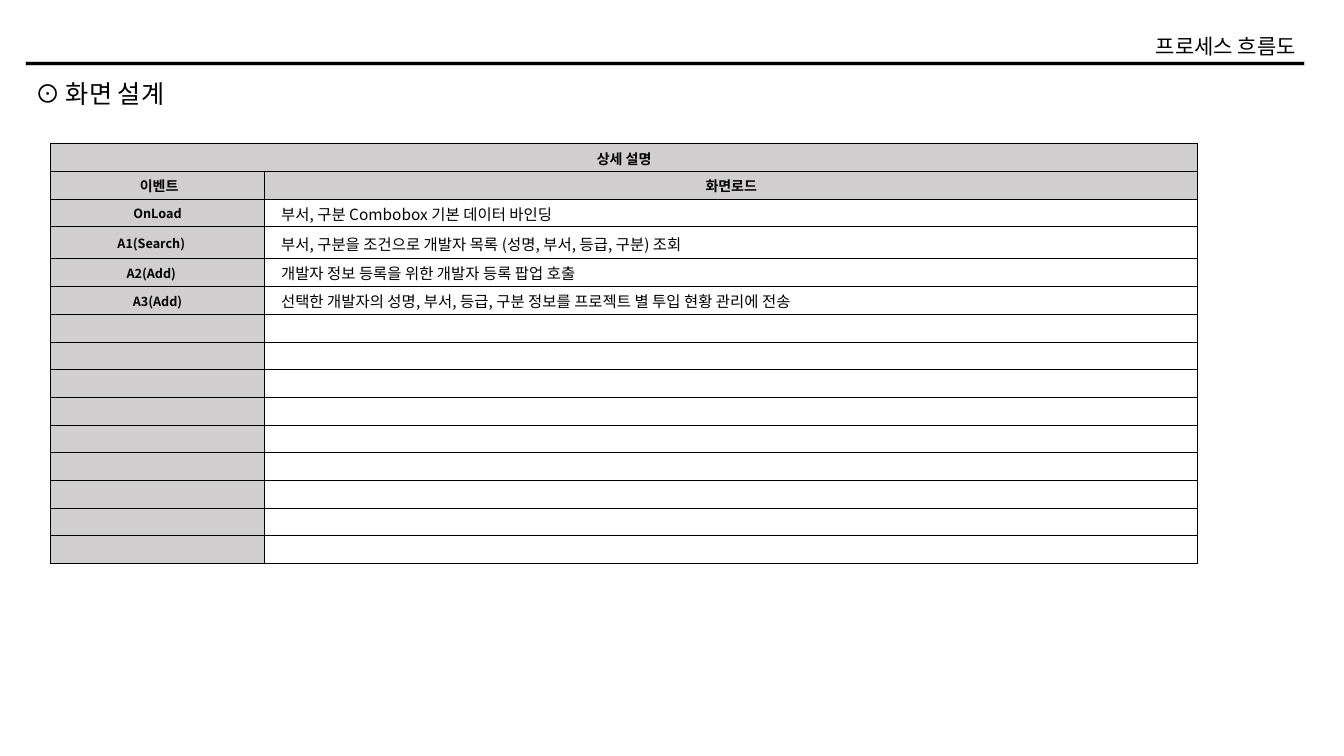
from lxml import etree
from pptx import Presentation
from pptx.dml.color import RGBColor
from pptx.enum.shapes import MSO_SHAPE
from pptx.enum.text import MSO_ANCHOR, MSO_AUTO_SIZE, PP_ALIGN
from pptx.oxml import parse_xml
from pptx.oxml.ns import qn
from pptx.util import Inches, Pt

RECT = MSO_SHAPE.RECTANGLE
MIDDLE = MSO_ANCHOR.MIDDLE
GROW = MSO_AUTO_SIZE.SHAPE_TO_FIT_TEXT
LEFT, CENTER, RIGHT = PP_ALIGN.LEFT, PP_ALIGN.CENTER, PP_ALIGN.RIGHT

STEP = 0.25
FACE = "Noto Sans CJK KR"
HUES = {"ink": "000000", "gray": "D0CECE"}
NS = "http://schemas.openxmlformats.org/drawingml/2006/main"
EDGE = (
    '<a:{side} xmlns:a="{ns}" w="6350"><a:solidFill>'
    '<a:srgbClr val="{hue}"/></a:solidFill></a:{side}>'
)
SIDES = ("lnL", "lnR", "lnT", "lnB")
INSET = {
    "margin_left": Inches(0.01),
    "margin_right": Inches(0.01),
    "margin_top": Inches(0.01),
    "margin_bottom": 0,
    "vertical_anchor": MIDDLE,
}
HEAD = {"size": Pt(10), "bold": True}
EVENT = {"size": Pt(9), "bold": True}
BODY = {"size": Pt(11), "bold": False}

EVENTS = [
    ("OnLoad", "　부서, 구분 Combobox 기본 데이터 바인딩"),
    ("A1(Search)　", "　부서, 구분을 조건으로 개발자 목록 (성명, 부서, 등급, 구분) 조회"),
    ("A2(Add)　", "　개발자 정보 등록을 위한 개발자 등록 팝업 호출"),
    ("A3(Add)", "　선택한 개발자의 성명, 부서, 등급, 구분 정보를 프로젝트 별 투입 현황 관리에 전송"),
]
SPARE = 9


def grid(count):
    return Inches(count * STEP)


def color(name):
    return RGBColor.from_string(HUES[name])


def apply(item, form):
    for key, value in form.items():
        setattr(item, key, value)


class Page:
    def __init__(self, deck):
        self.slide = deck.slides.add_slide(deck.slide_layouts[6])
        self.shapes = self.slide.shapes

    def words(self, frame, text, form, align):
        para = frame.paragraphs[0]
        para.alignment = align
        if not text:
            end = etree.SubElement(para._p, qn("a:endParaRPr"))
            end.set("sz", str(int(form["size"].pt * 100)))
            return
        run = para.add_run()
        run.text = text
        apply(run.font, {"name": FACE, **form})
        run.font.color.rgb = color("ink")
        east = etree.SubElement(run.font._element, qn("a:ea"))
        east.set("typeface", FACE)

    def bar(self, box):
        bar = self.shapes.add_shape(RECT, *map(grid, box))
        bar.shadow.inherit = False
        bar.fill.solid()
        bar.fill.fore_color.rgb = color("ink")
        bar.line.color.rgb = color("gray")
        bar.line.width = Pt(0.3)

    def label(self, box, text, size, align):
        frame = self.shapes.add_textbox(*map(grid, box)).text_frame
        apply(frame, {"word_wrap": False, "auto_size": GROW})
        self.words(frame, text, {"size": Pt(size)}, align)

    def cell(self, cell, text, form, align, gray):
        apply(cell, INSET)
        if gray:
            cell.fill.solid()
            cell.fill.fore_color.rgb = color("gray")
        else:
            cell.fill.background()
        props = cell._tc.get_or_add_tcPr()
        for spot, side in enumerate(SIDES):
            edge = EDGE.format(side=side, ns=NS, hue=HUES["ink"])
            props.insert(spot, parse_xml(edge))
        self.words(cell.text_frame, text, form, align)

    def table(self, spot, cols, rows, data, heads):
        size = (sum(cols), sum(rows))
        table = self.shapes.add_table(
            len(rows), len(cols), *map(grid, spot + size)
        ).table
        apply(table, {"first_row": False, "horz_banding": False})
        for col, wide in zip(table.columns, cols):
            col.width = grid(wide)
        for row, tall in zip(table.rows, rows):
            row.height = grid(tall)
        for r, texts in enumerate(data):
            for c, text in enumerate(texts):
                head = r < heads
                form = HEAD if head else (EVENT, BODY)[c]
                gray = head or c == 0
                align = CENTER if gray else LEFT
                self.cell(table.cell(r, c), text, form, align, gray)
        table.cell(0, 0).merge(table.cell(0, len(cols) - 1))


def main():
    deck = Presentation()
    apply(deck, {"slide_width": Inches(13.33), "slide_height": Inches(7.5)})
    page = Page(deck)
    page.bar((1, 2.44, 50.76, 0.16))
    page.label((44.8, 1.12, 7, 1.4), "프로세스 흐름도", 15, RIGHT)
    page.label((1, 2.92, 6.52, 1.6), "⊙ 화면 설계", 18, LEFT)
    data = [("상세 설명", ""), (" 이벤트", "화면로드")]
    data += EVENTS + [("", "")] * SPARE
    rows = [1.1] * len(data)
    rows[3] = 1.27
    page.table((2, 5.7), (8.5, 37.02), rows, data, 2)
    deck.save("out.pptx")


if __name__ == "__main__":
    main()
